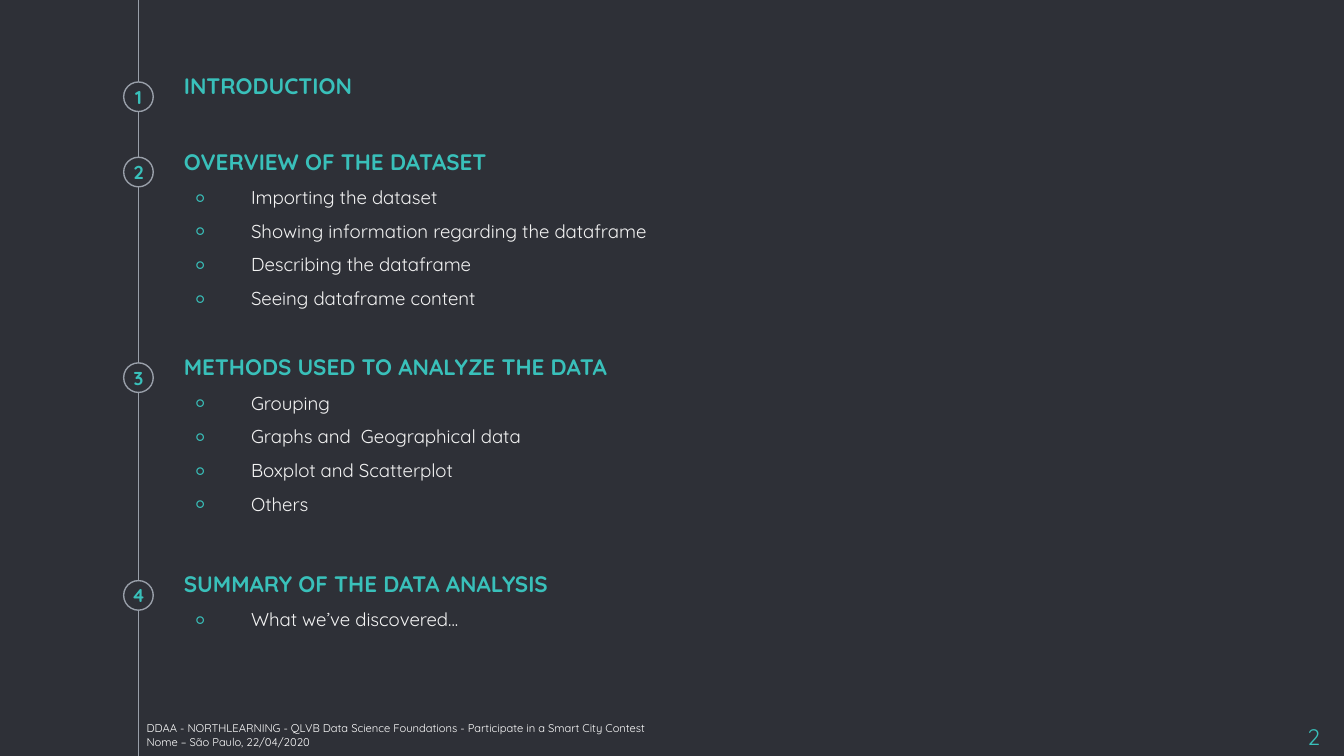
from dataclasses import dataclass

from lxml.etree import SubElement
from pptx import Presentation
from pptx.dml.color import RGBColor
from pptx.enum.shapes import MSO_CONNECTOR, MSO_SHAPE
from pptx.enum.text import MSO_ANCHOR, PP_ALIGN
from pptx.oxml.ns import qn
from pptx.util import Inches, Pt


@dataclass(frozen=True)
class Theme:
    font: str = "Quicksand"
    bullet_font: str = "Arial"
    background: str = "2E3037"
    accent: str = "39C0BA"
    rule: str = "999FA9"
    body: str = "F3F3F3"
    footer: str = "FFFFFF"
    heading_size: float = 12
    body_size: float = 10
    footer_size: float = 6
    line_width: float = 0.75


THEME = Theme()
WIDTH = 10
HEIGHT = WIDTH * 9 / 16
TIMELINE_X = 1.03
MARKER_SIZE = 0.22
LABEL_WIDTH, LABEL_HEIGHT = 0.88, 0.65
TEXT_X, TEXT_WIDTH = 1.27, 3.77
INSET = 0.1

# heading, items, top and height of the text, centre of the marker
SECTIONS = [
    ("INTRODUCTION", [], 0.44, 0.57, 0.72),
    ("OVERVIEW OF THE DATASET",
     ["Importing the dataset", "Showing information regarding the dataframe",
      "Describing the dataframe", "Seeing dataframe content"], 1, 1.44, 1.28),
    ("METHODS USED TO ANALYZE THE DATA",
     ["Grouping", "Graphs and  Geographical data",
      "Boxplot and Scatterplot", "Others"], 2.53, 1.51, 2.81),
    ("SUMMARY OF THE DATA ANALYSIS",
     ["What we’ve discovered..."], 4.14, 0.72, 4.43),
]
FOOTER = [
    "DDAA - NORTHLEARNING - QLVB Data Science Foundations - Participate in a Smart City Contest",
    "Nome – São Paulo, 22/04/2020",
]


def rgb(value):
    return RGBColor.from_string(value)


def add_text_box(s, left, top, width, height, inset=INSET, wrap=True,
                 anchor=MSO_ANCHOR.TOP):
    box = s.shapes.add_textbox(*map(Inches, (left, top, width, height)))
    tf = box.text_frame
    tf.word_wrap = wrap
    tf.vertical_anchor = anchor
    for side in ("left", "top", "right", "bottom"):
        setattr(tf, f"margin_{side}", Inches(inset))
    return tf


def write(p, text, size, color, bold=False, align=PP_ALIGN.LEFT, before=0):
    for name, value in {"alignment": align, "space_before": Pt(before)}.items():
        setattr(p, name, value)
    r = p.add_run()
    r.text = text
    for name, value in {"name": THEME.font, "size": Pt(size), "bold": bold}.items():
        setattr(r.font, name, value)
    r.font.color.rgb = rgb(color)


def add_bullet(p):
    pPr = p._p.get_or_add_pPr()
    pPr.set("marL", str(Inches(0.5)))
    pPr.set("indent", str(Inches(-0.42)))
    color = SubElement(pPr, qn("a:buClr"))
    SubElement(color, qn("a:srgbClr"), val=THEME.accent)
    SubElement(pPr, qn("a:buSzPct"), val="170000")
    SubElement(pPr, qn("a:buFont"), typeface=THEME.bullet_font)
    SubElement(pPr, qn("a:buChar"), char="◦")


def add_timeline(s, x, top, bottom):
    line = s.shapes.add_connector(
        MSO_CONNECTOR.STRAIGHT, *map(Inches, (x, top, x, bottom)))
    line.line.color.rgb = rgb(THEME.rule)
    line.line.width = Pt(THEME.line_width)
    SubElement(line._element.spPr, qn("a:effectLst"))


def add_marker(s, number, x, y):
    """Draw a circle centred on x, y with its number in a box over it."""
    sp = s.shapes.add_shape(
        MSO_SHAPE.OVAL, Inches(x - MARKER_SIZE / 2), Inches(y - MARKER_SIZE / 2),
        Inches(MARKER_SIZE), Inches(MARKER_SIZE))
    sp.shadow.inherit = False
    sp.fill.solid()
    sp.fill.fore_color.rgb = rgb(THEME.background)
    sp.line.color.rgb = rgb(THEME.rule)
    sp.line.width = Pt(THEME.line_width)
    tf = add_text_box(s, x - LABEL_WIDTH / 2, y - LABEL_HEIGHT / 2,
                      LABEL_WIDTH, LABEL_HEIGHT, anchor=MSO_ANCHOR.MIDDLE)
    write(tf.paragraphs[0], str(number), THEME.body_size,
          THEME.accent, bold=True, align=PP_ALIGN.CENTER)


def add_section(s, heading, items, left, top, width, height):
    tf = add_text_box(s, left, top, width, height)
    write(tf.paragraphs[0], heading, THEME.heading_size, THEME.accent,
          bold=True, before=6)
    for item in items:
        p = tf.add_paragraph()
        write(p, item, THEME.body_size, THEME.body, before=6)
        add_bullet(p)


def add_footer(s, lines, left, top, width, height):
    tf = add_text_box(s, left, top, width, height, inset=0, wrap=False)
    for i, line in enumerate(lines):
        p = tf.add_paragraph() if i else tf.paragraphs[0]
        write(p, line, THEME.footer_size, THEME.footer)


def add_page_number(s, number, left, top, width, height):
    tf = add_text_box(s, left, top, width, height)
    write(tf.paragraphs[0], str(number), THEME.heading_size, THEME.accent,
          align=PP_ALIGN.RIGHT)


def add_agenda_slide(prs):
    s = prs.slides.add_slide(prs.slide_layouts[6])
    s.background.fill.solid()
    s.background.fill.fore_color.rgb = rgb(THEME.background)
    add_timeline(s, TIMELINE_X, 0, HEIGHT)
    for number, (heading, items, top, height, marker_y) in enumerate(SECTIONS, 1):
        add_marker(s, number, TIMELINE_X, marker_y)
        add_section(s, heading, items, TEXT_X, top, TEXT_WIDTH, height)
    add_footer(s, FOOTER, 1.09, 5.37, 3.78, 0.2)
    add_page_number(s, 2, 9.32, 5.28, 0.6, 0.34)


def main():
    prs = Presentation()
    prs.slide_width, prs.slide_height = Inches(WIDTH), Inches(HEIGHT)
    add_agenda_slide(prs)
    prs.save("out.pptx")


if __name__ == "__main__":
    main()
